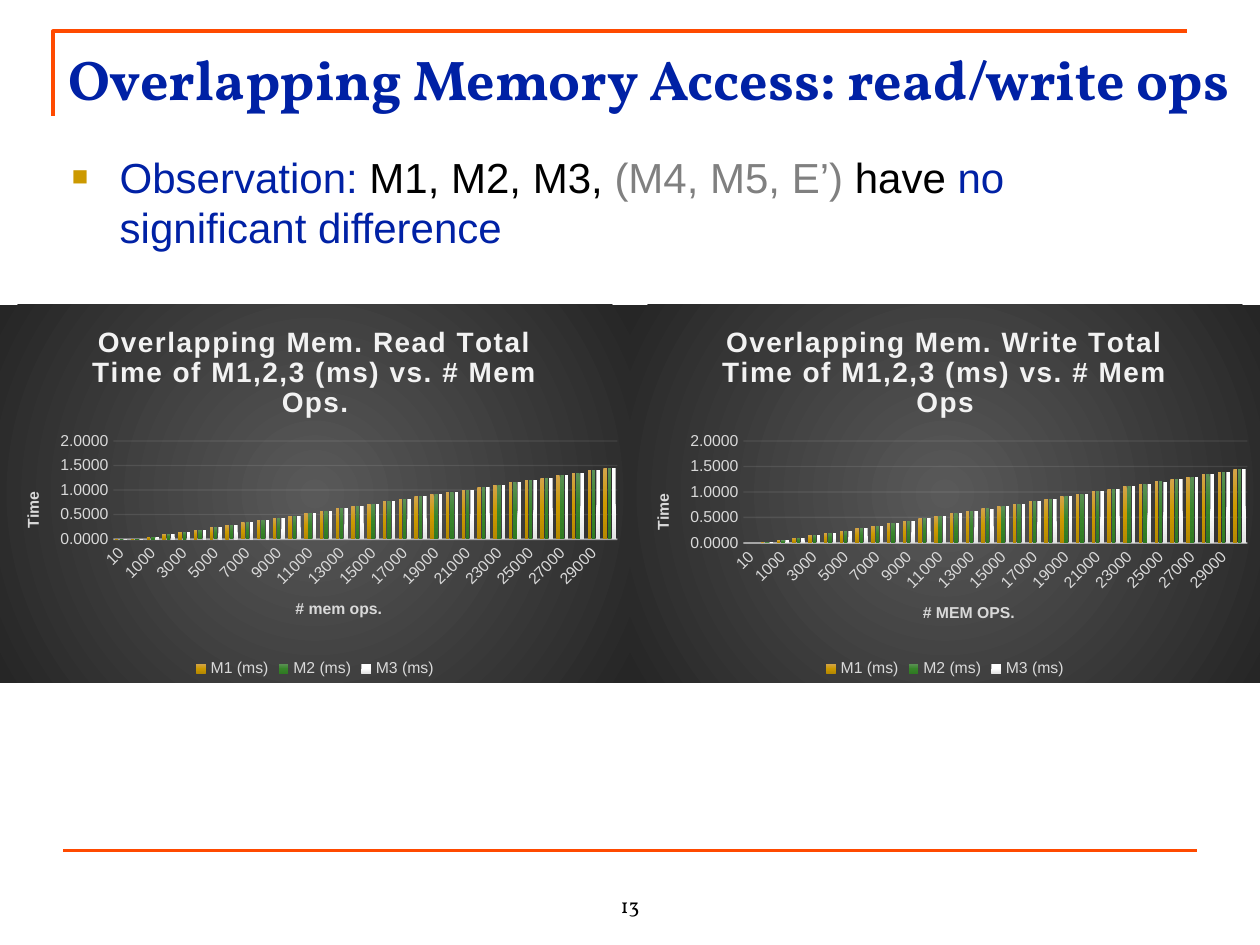
from dataclasses import dataclass
from lxml import etree
from pptx import Presentation
from pptx import util as u
from pptx.chart.data import CategoryChartData
from pptx.dml.color import RGBColor
from pptx.enum import chart as ch
from pptx.enum import shapes, text
from pptx.oxml import parse_xml
from pptx.oxml.ns import nsdecls, qn

COLORS = {
    "accent": "FF4A00", "navy": "0021A5", "black": "000000", "gray": "808080",
    "bullet": "CC9900", "label": "D9D9D9", "pale": "F2F2F2",
}
BACKDROP = ["595959", "262626"]
SERIES_GRADIENTS = {
    "M1 (ms)": ["D3A44B", "CC9900", "B58800"],
    "M2 (ms)": ["5B9055", "38852B", "2F7A22"],
    "M3 (ms)": ["FFFFFF", "FFFFFF", "E3E3E3"],
}
RADIAL = ('<a:path path="circle"><a:fillToRect l="50000" t="50000" '
          'r="50000" b="50000"/></a:path>')
VERTICAL = '<a:lin ang="5400000" scaled="0"/>'
OPS = [10, 100, *range(1000, 30001, 1000)]
READ = [0, 0.01, 0.05, 0.1, 0.15, 0.19, 0.24, 0.29, 0.34, 0.39, 0.43,
        0.48, 0.53, 0.58, 0.63, 0.68, 0.72, 0.77, 0.82, 0.87, 0.91,
        0.96, 1.01, 1.06, 1.11, 1.16, 1.2, 1.25, 1.3, 1.35, 1.4, 1.44]


def adjusted(times: list, changes: dict) -> list:
    by_ops = dict(zip(OPS, times)) | changes
    return [by_ops[ops] for ops in OPS]


WRITE = adjusted(READ, {19000: 0.92, 25000: 1.21, 30000: 1.45})


@dataclass
class Timing:
    column: int
    title: str
    ops_title: str
    plot_height: float
    times: list


TIMINGS = [
    Timing(0, "Overlapping Mem. Read Total Time of M1,2,3 (ms) vs. # Mem Ops.",
           "# mem ops.", 0.26,
           [READ, READ, adjusted(READ, {3000: 0.14, 14000: 0.67})]),
    Timing(1, "Overlapping Mem. Write Total Time of M1,2,3 (ms) vs. # Mem Ops",
           "# MEM OPS.", 0.27,
           [WRITE, WRITE, adjusted(WRITE, {14000: 0.67, 25000: 1.2})]),
]


def rgb(name: str) -> RGBColor:
    return RGBColor.from_string(COLORS[name])


def style(font, size: float, color: str, name: str = "Arial", bold: bool = False) -> None:
    font.size, font.name, font.bold = u.Pt(size), name, bold
    font.color.rgb = rgb(color)


def place(shape, left: float, top: float, width: float, height: float) -> None:
    shape.left, shape.top = u.Inches(left), u.Inches(top)
    shape.width, shape.height = u.Inches(width), u.Inches(height)


def gradient(stops: list, direction: str):
    last = len(stops) - 1
    marks = "".join(f'<a:gs pos="{100000 * i // last}"><a:srgbClr val="{stop}"/></a:gs>'
                    for i, stop in enumerate(stops))
    return parse_xml(f'<a:gradFill {nsdecls("a")} rotWithShape="1">'
                     f'<a:gsLst>{marks}</a:gsLst>{direction}</a:gradFill>')


def accent_line(line) -> None:
    line.color.rgb, line.width = rgb("accent"), u.Pt(2.25)


def faint_line(line, width: float, opacity: int) -> None:
    line.color.rgb, line.width = rgb("pale"), u.Pt(width)
    color = next(line.fill._xPr.iter(qn("a:srgbClr")))
    etree.SubElement(color, qn("a:alpha")).set("val", str(opacity * 1000))


def title_axis(axis, wording: str, rotation: int) -> None:
    frame = axis.axis_title.text_frame
    frame.text = wording
    frame._txBody.bodyPr.set("rot", str(rotation * 60000))
    style(frame.paragraphs[0].runs[0].font, 9, "label", bold=True)
    style(axis.tick_labels.font, 9, "label")
    axis.major_tick_mark = axis.minor_tick_mark = ch.XL_TICK_MARK.NONE


def draw_timing(slide, timing: Timing) -> None:
    data = CategoryChartData(number_format="0.0000")
    data.categories = [str(ops) for ops in OPS]
    for name, times in zip(SERIES_GRADIENTS, timing.times):
        data.add_series(name, times)
    chart = slide.shapes.add_chart(
        ch.XL_CHART_TYPE.COLUMN_CLUSTERED, u.Inches(5 * timing.column),
        u.Inches(2.42), u.Inches(5), u.Inches(3), data).chart
    style(chart.font, 10, "black")

    backdrop = parse_xml(f'<c:spPr {nsdecls("c", "a")}><a:ln><a:noFill/></a:ln></c:spPr>')
    backdrop.insert(0, gradient(BACKDROP, RADIAL))
    chart._chartSpace.chart.addnext(backdrop)

    heading = chart.chart_title.text_frame
    heading.text = timing.title
    run = heading.paragraphs[0].runs[0]
    style(run.font, 16, "pale", bold=True)
    run._r.get_or_add_rPr().set("spc", "100")
    chart.chart_title.include_in_layout = False

    chart.has_legend = True
    chart.legend.position = ch.XL_LEGEND_POSITION.BOTTOM
    chart.legend.include_in_layout = False
    style(chart.legend.font, 9, "label")

    title_axis(chart.category_axis, timing.ops_title, 0)
    faint_line(chart.category_axis.format.line, 1, 54)
    labels = chart.category_axis._element.find(qn("c:txPr"))
    labels.find(qn("a:bodyPr")).set("rot", str(-45 * 60000))

    title_axis(chart.value_axis, "Time", -90)
    chart.value_axis.minimum_scale, chart.value_axis.maximum_scale = 0, 2
    chart.value_axis.major_unit = 0.5
    chart.value_axis.tick_labels.number_format = "0.0000"
    chart.value_axis.tick_labels.number_format_is_linked = False
    chart.value_axis.format.line.fill.background()
    faint_line(chart.value_axis.major_gridlines.format.line, 0.75, 10)

    plot = chart.plots[0]
    plot.gap_width, plot.overlap, plot.vary_by_categories = 100, -24, False
    for series, stops in zip(plot.series, SERIES_GRADIENTS.values()):
        series.invert_if_negative = False
        series._element.get_or_add_spPr().append(gradient(stops, VERTICAL))

    area = chart._chartSpace.chart.plotArea
    for old in area.findall(qn("c:layout")):
        area.remove(old)
    settings = {"layoutTarget": "inner", "xMode": "edge", "yMode": "edge",
                "x": 0.18, "y": 0.36, "w": 0.8, "h": timing.plot_height}
    marks = "".join(f'<c:{key} val="{value}"/>' for key, value in settings.items())
    area.insert(0, parse_xml(f'<c:layout {nsdecls("c")}><c:manualLayout>{marks}'
                             '</c:manualLayout></c:layout>'))


deck = Presentation()
deck.slide_width, deck.slide_height = u.Inches(10), u.Inches(7.5)
slide = deck.slides.add_slide(deck.slide_layouts[1])

builder = slide.shapes.build_freeform(u.Inches(0.42), u.Inches(0.92))
builder.add_line_segments([(u.Inches(0.42), u.Inches(0.25)),
                           (u.Inches(9.42), u.Inches(0.25))], close=False)
corner = builder.convert_to_shape()
corner.shadow.inherit = False
corner.fill.background()
accent_line(corner.line)

footer_rule = slide.shapes.add_connector(
    shapes.MSO_CONNECTOR.STRAIGHT, u.Inches(0.5), u.Inches(6.75), u.Inches(9.5), u.Inches(6.75))
accent_line(footer_rule.line)
etree.SubElement(footer_rule._element.spPr, qn("a:effectLst"))

page = slide.shapes.add_textbox(u.Inches(4), u.Inches(6.83), u.Inches(2), u.Inches(0.5))
page.text_frame.text = "13"
page.text_frame.word_wrap = True
page.text_frame.vertical_anchor = text.MSO_ANCHOR.BOTTOM
page.text_frame.paragraphs[0].alignment = text.PP_ALIGN.CENTER
style(page.text_frame.paragraphs[0].runs[0].font, 12, "black", "Vollkorn")

title = slide.shapes.title
place(title, 0.44, 0.3, 9.72, 0.87)
title.text_frame.text = "Overlapping Memory Access: read/write ops"
title.text_frame.paragraphs[0].alignment = text.PP_ALIGN.LEFT
style(title.text_frame.paragraphs[0].runs[0].font, 32, "navy", "Vollkorn", True)

observation = slide.placeholders[1]
place(observation, 0.47, 1.15, 9.06, 0.91)
for frame in (title.text_frame, observation.text_frame):
    frame.auto_size = text.MSO_AUTO_SIZE.NONE
    frame.vertical_anchor = text.MSO_ANCHOR.TOP
remark = observation.text_frame.paragraphs[0]
remark.space_before = u.Pt(4.8)
for wording, color in [("Observation: ", "navy"), ("M1, M2, M3, ", "black"),
                       ("(M4, M5, E’) ", "gray"), ("have ", "black"),
                       ("no significant difference", "navy")]:
    run = remark.add_run()
    run.text = wording
    style(run.font, 24, color)
bullet = remark._p.get_or_add_pPr()
bullet.set("marL", str(u.Inches(0.38)))
bullet.set("indent", str(u.Inches(-0.38)))
for mark in (f'<a:buClr {nsdecls("a")}><a:srgbClr val="{COLORS["bullet"]}"/></a:buClr>',
             f'<a:buSzPct {nsdecls("a")} val="65000"/>',
             f'<a:buFont {nsdecls("a")} typeface="Arial"/>',
             f'<a:buChar {nsdecls("a")} char="■"/>'):
    bullet.append(parse_xml(mark))

for timing in TIMINGS:
    draw_timing(slide, timing)

deck.save("out.pptx")
